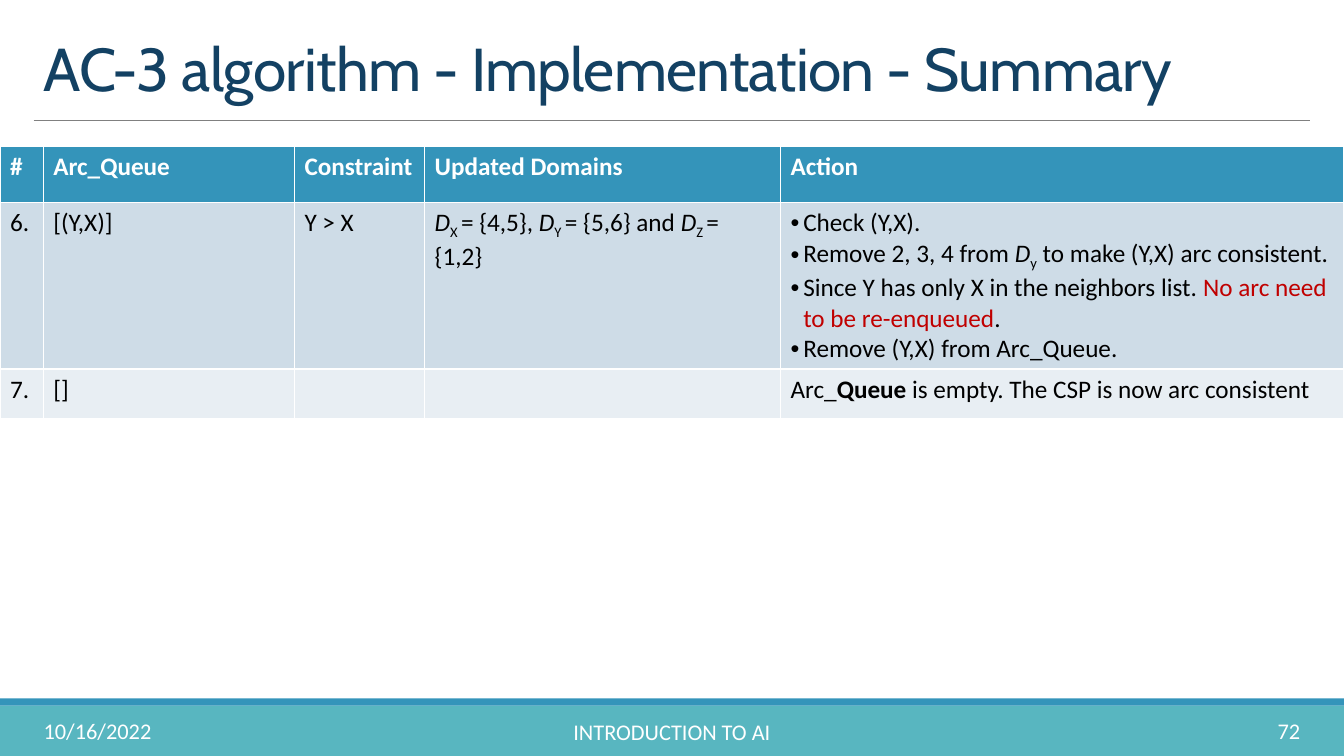
from lxml.etree import SubElement
from pptx import Presentation
from pptx.dml.color import RGBColor
from pptx.enum.shapes import MSO_CONNECTOR, MSO_SHAPE
from pptx.enum.text import MSO_ANCHOR, PP_ALIGN
from pptx.oxml.ns import qn
from pptx.util import Cm, Pt

COLORS = {
    "title": "134163", "rule": "808080", "blue": "3494BA", "teal": "58B6C0",
    "odd_row": "CEDCE7", "even_row": "E8EEF3",
    "white": "FFFFFF", "black": "000000", "red": "C00000",
}
SLIDE_WIDTH, SLIDE_HEIGHT = 33.87, 19.05


def color(name):
    return RGBColor.from_string(COLORS[name])


def add_span(para, text, **style):
    """Add a run; "baseline" and "spacing" go to XML, the rest to its font."""
    span = para.add_run()
    span.text = text
    format_values = {"name": "Calibri", "size": Pt(18), **style}
    span.font.color.rgb = color(format_values.pop("color", "black"))
    for key, attribute in (("baseline", "baseline"), ("spacing", "spc")):
        if key in format_values:
            span._r.get_or_add_rPr().set(attribute, str(format_values.pop(key)))
    for attribute, value in format_values.items():
        setattr(span.font, attribute, value)


deck = Presentation()
deck.slide_width, deck.slide_height = Cm(SLIDE_WIDTH), Cm(SLIDE_HEIGHT)
page = deck.slides.add_slide(deck.slide_layouts[6])

# Footer bands and title rule
for top, height, fill in ((17.78, 1.27, "teal"), (17.6, 0.18, "blue")):
    band = page.shapes.add_shape(
        MSO_SHAPE.RECTANGLE, Cm(0), Cm(top), Cm(SLIDE_WIDTH), Cm(height))
    band.shadow.inherit = False
    band.fill.solid()
    band.fill.fore_color.rgb = color(fill)
    band.line.fill.background()

rule = page.shapes.add_connector(
    MSO_CONNECTOR.STRAIGHT, Cm(0.85), Cm(3.03), Cm(33.02), Cm(3.03))
rule.line.color.rgb = color("rule")
rule.line.width = Pt(0.5)
SubElement(rule._element.spPr, qn("a:effectLst"))

# Title and footer texts
title_style = {"name": "Cabin", "size": Pt(43.2), "color": "title", "spacing": -50}
footer_style = {"size": Pt(16), "color": "white"}
texts = [
    ("AC-3 algorithm - Implementation - Summary", (0.85, 0.79, 32.17, 1.95),
     {"alignment": PP_ALIGN.LEFT, "line_spacing": 0.85}, MSO_ANCHOR.BOTTOM, title_style),
    ("10/16/2022", (0.85, 17.91, 6.86, 1.01),
     {"alignment": PP_ALIGN.LEFT}, MSO_ANCHOR.MIDDLE, footer_style),
    ("INTRODUCTION TO AI", (10.24, 17.94, 13.39, 1.01),
     {"alignment": PP_ALIGN.CENTER}, MSO_ANCHOR.MIDDLE, footer_style),
    ("72", (29.39, 17.91, 3.63, 1.01),
     {"alignment": PP_ALIGN.RIGHT}, MSO_ANCHOR.MIDDLE, footer_style),
]
for text, place, para_format, anchor, style in texts:
    box = page.shapes.add_textbox(*(Cm(length) for length in place))
    box.text_frame.word_wrap = True
    box.text_frame.vertical_anchor = anchor
    para = box.text_frame.paragraphs[0]
    for attribute, value in para_format.items():
        setattr(para, attribute, value)
    add_span(para, text, **style)

# Table: each cell is a list of paragraphs, each paragraph a list of (text, style)
plain, italic, bold = {}, {"italic": True}, {"bold": True}
subscript, red = {"baseline": -25000}, {"color": "red"}
header_style = {"bold": True, "color": "white"}
headers = ["#", "Arc_Queue", "Constraint", "Updated Domains", "Action"]

domains = []
for variable, values in (("X", "{4,5}, "), ("Y", "{5,6} and "), ("Z", "{1,2}")):
    domains += [("D", italic), (variable + " ", subscript), ("= " + values, plain)]

actions = [
    [("Check (Y,X).", plain)],
    [("Remove 2, 3, 4 from ", plain), ("D", italic), ("y", subscript),
     (" to make (Y,X) arc consistent.", plain)],
    [("Since Y has only X in the neighbors list. ", plain),
     ("No arc need to be re-enqueued", red), (".", plain)],
    [("Remove (Y,X) from Arc_Queue.", plain)],
]
conclusion = [("Arc_", plain), ("Queue", bold),
              (" is empty. The CSP is now arc consistent", plain)]
rows = [
    ("blue", 1.42, [[[(header, header_style)]] for header in headers]),
    ("odd_row", 4.2, [[[("6.", plain)]], [[("[(Y,X)]", plain)]],
                      [[("Y > X", plain)]], [domains], actions]),
    ("even_row", 1.25, [[[("7.", plain)]], [[("[]", plain)]], [], [], [conclusion]]),
]
column_widths = [1.09, 6.33, 3.28, 8.97, 14.2]

table = page.shapes.add_table(
    len(rows), len(headers), Cm(0), Cm(3.68), Cm(SLIDE_WIDTH),
    Cm(sum(height for _, height, _ in rows))).table
for column, width in zip(table.columns, column_widths):
    column.width = Cm(width)

for row_index, (fill, height, contents) in enumerate(rows):
    table.rows[row_index].height = Cm(height)
    for column_index, paragraphs in enumerate(contents):
        cell = table.cell(row_index, column_index)
        cell.fill.solid()
        cell.fill.fore_color.rgb = color(fill)
        for index, spans in enumerate(paragraphs):
            frame = cell.text_frame
            para = frame.add_paragraph() if index else frame.paragraphs[0]
            for text, style in spans:
                add_span(para, text, **style)
            if paragraphs is actions:
                properties = para._p.get_or_add_pPr()
                properties.set("marL", str(Cm(0.32)))
                properties.set("indent", str(-Cm(0.32)))
                SubElement(properties, qn("a:buFont")).set("typeface", "Arial")
                SubElement(properties, qn("a:buChar")).set("char", "•")

deck.save("out.pptx")
